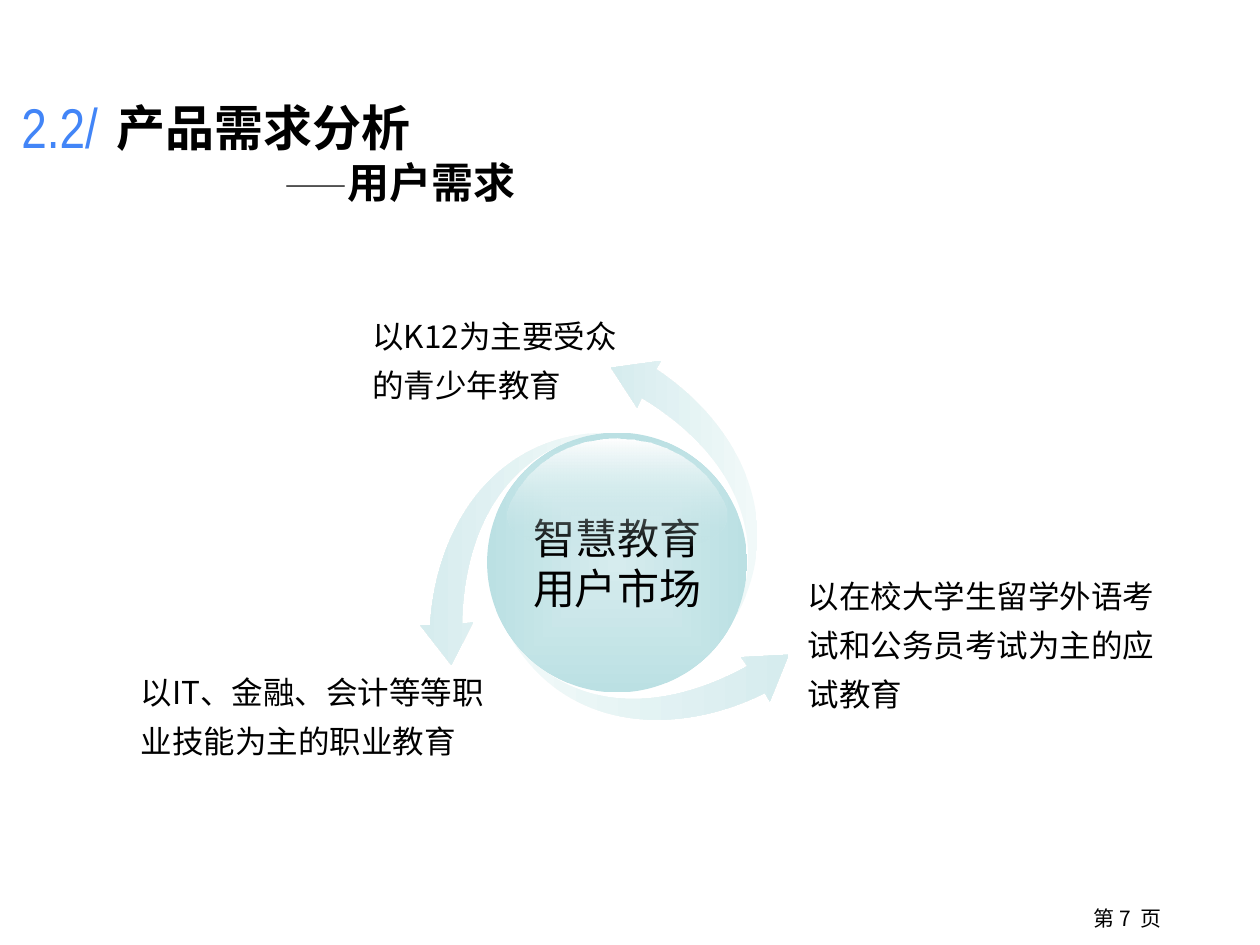
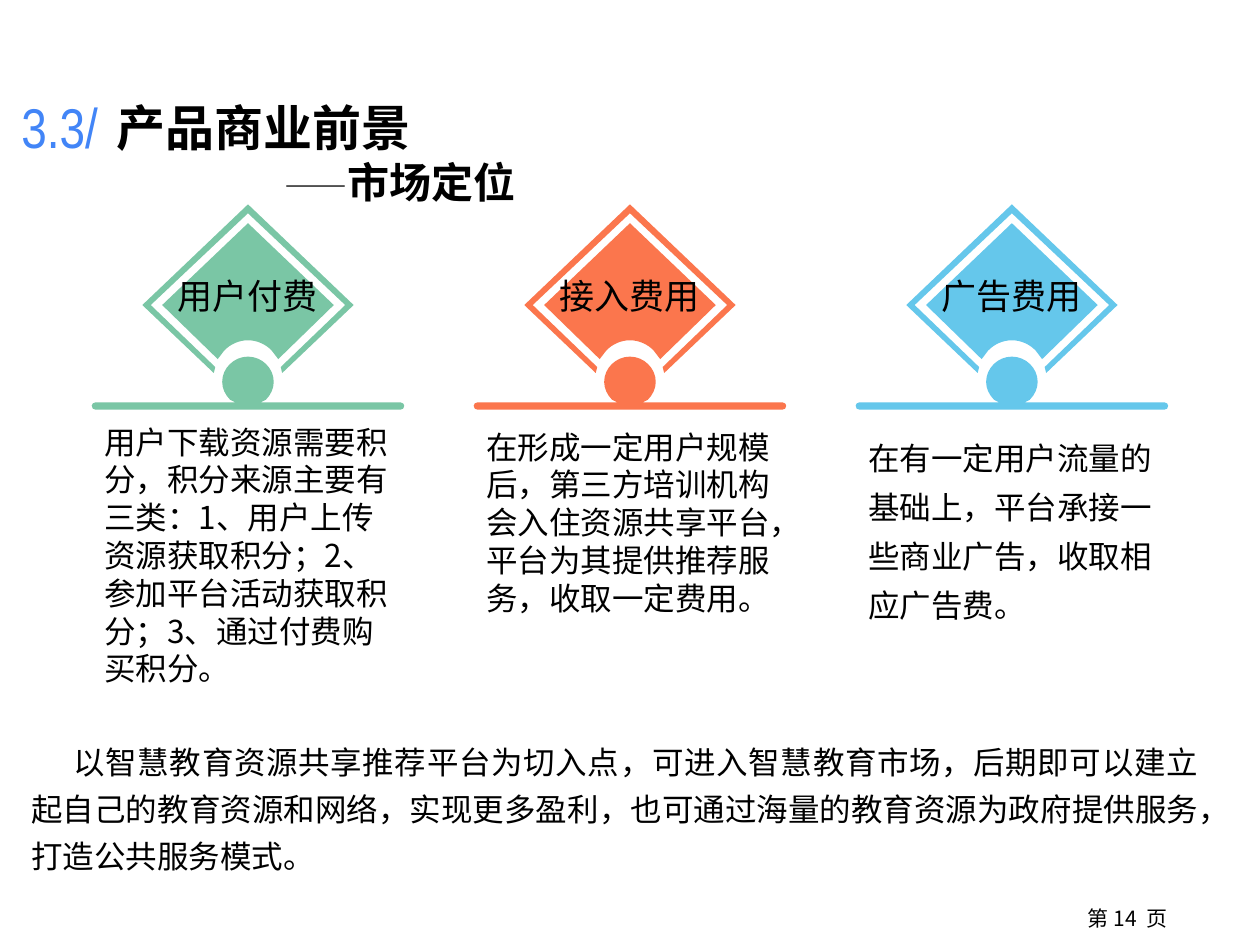
import collections
import dataclasses
import math

import pptx
import pptx.dml.color
import pptx.enum.shapes
import pptx.enum.text
import pptx.oxml
import pptx.oxml.ns
import pptx.util

Cm = pptx.util.Cm
ALIGN = pptx.enum.text.PP_ALIGN
ANCHOR = pptx.enum.text.MSO_ANCHOR
Box = collections.namedtuple("Box", "left top width height")


@dataclasses.dataclass(frozen=True)
class Theme:
    body_font: str = "Noto Sans CJK SC"
    title_font: str = "Times New Roman"
    number_font: str = "Arial Narrow"
    ink: str = "000000"
    accent: str = "4285F7"
    white: str = "FFFFFF"
    mist: str = "F1F9F9"
    pale_teal: str = "D6ECEE"
    teal: str = "BBE0E3"
    green: str = "7AC6A5"
    orange: str = "FB764D"
    blue: str = "65C7EB"
    number: int = 32
    title: int = 28
    subtitle: int = 24
    label: int = 20
    body: int = 18
    footer: int = 12


THEME = Theme()

# Outlines in cm: a pair is a corner, six numbers are a cubic curve.
ARROW = [(-2.12, 1.56), (-0.93, 3.03, 0.87, 3.06, 2.63, 2.09),
         (2.5, 1.91), (3.46, 1.86), (3.08, 2.8), (2.98, 2.63),
         (1.2, 3.52, -0.98, 3.41, -2.12, 1.56)]

# Right halves of symmetric outlines, measured from their vertical axis.
HALF_GLOSS = [(0, -2.49), (0.95, -2.49, 1.75, -2, 2.13, -1.22),
              (2.5, -0.45, 1.3, -0.23, 0.43, -0.23)]
HALF_RING = [(0, 0), (2.13, 2.03), (0.69, 3.4), (0.66, 3.28),
             (1.96, 2.03), (0, 0.18)]
HALF_DIAMOND = [(0, 0.38), (1.73, 2.03), (0.61, 3.12), (0.48, 2.95),
                (0.36, 2.82, 0.18, 2.74, 0, 2.74)]
HALF_STAND = [(0, 3.07), (0.28, 3.07, 0.52, 3.3, 0.52, 3.58),
              (0.52, 3.71, 0.46, 3.84, 0.36, 3.94), (0.26, 3.99),
              (3.07, 3.99), (3.12, 3.99, 3.15, 4.03, 3.15, 4.06),
              (3.15, 4.11, 3.12, 4.14, 3.07, 4.14)]


def pairs(part):
    return list(zip(part[::2], part[1::2]))


def mapped(outline, change):
    """Apply a change of one point to every point of an outline."""
    return [tuple(v for point in pairs(part) for v in change(*point))
            for part in outline]


def mirrored(half):
    """Complete a right half outline with its left half."""
    left = [half[-1][-2:]] if half[-1][-2] else []
    for before, part in reversed(list(zip(half, half[1:]))):
        left.append(part[2:4] + part[:2] + before[-2:] if len(part) == 6
                    else before[-2:])
    return half + mapped(left, lambda x, y: (-x, y))


def rotated(outline, degrees):
    cos, sin = math.cos(math.radians(degrees)), math.sin(math.radians(degrees))
    return mapped(outline, lambda x, y: (x * cos - y * sin, x * sin + y * cos))


def flatten(outline, steps=16):
    """Turn corners and cubic curves into a list of points."""
    points = []
    for part in outline:
        if len(part) == 2:
            points.append(part)
            continue
        knots = [points[-1]] + pairs(part)
        for i in range(1, steps + 1):
            t = i / steps
            weights = [math.comb(3, k) * t ** k * (1 - t) ** (3 - k) for k in range(4)]
            points.append(tuple(sum(w * knot[axis] for w, knot in zip(weights, knots))
                                for axis in (0, 1)))
    return points


def rgb(color):
    return pptx.dml.color.RGBColor.from_string(color)


def add_text(tf, text, size=THEME.body, font=THEME.body_font, color=THEME.ink,
             bold=False, align=ALIGN.LEFT, spacing=None, first_indent=None,
             new_paragraph=True):
    """Add a run, in a new paragraph unless told to continue the last one."""
    p = tf.paragraphs[-1]
    if new_paragraph:
        if p.runs:
            p = tf.add_paragraph()
        p.alignment = align
        if spacing:
            p.line_spacing = spacing
        if first_indent:
            pPr = p._p.get_or_add_pPr()
            pPr.set("marL", "0")
            pPr.set("indent", str(Cm(first_indent)))
    r = p.add_run()
    r.text = text
    r.font.size = pptx.util.Pt(size)
    r.font.name = font
    r.font.bold = bold
    r.font.color.rgb = rgb(color)
    ea = r._r.get_or_add_rPr().makeelement(
        pptx.oxml.ns.qn("a:ea"), {"typeface": THEME.body_font})
    r.font._element.find(pptx.oxml.ns.qn("a:latin")).addnext(ea)
    return p


def set_frame(sp, anchor=ANCHOR.TOP, insets=(0.25, 0.13, 0.25, 0.13)):
    tf = sp.text_frame
    tf.word_wrap = True
    tf.vertical_anchor = anchor
    tf.margin_left, tf.margin_top, tf.margin_right, tf.margin_bottom = map(Cm, insets)
    return tf


def add_frame(slide, box, **frame):
    return set_frame(slide.shapes.add_textbox(*map(Cm, box)), **frame)


def set_plain(sp, color=None):
    sp.shadow.inherit = False
    sp.line.fill.background()
    if color:
        sp.fill.solid()
        sp.fill.fore_color.rgb = rgb(color)


def set_gradient(sp, start, end, angle=None, end_alpha=100):
    """Fill along an angle, or outwards from the middle when there is none."""
    if angle is None:
        course = ('<a:path path="shape"><a:fillToRect l="50000" t="50000" '
                  'r="50000" b="50000"/></a:path>')
    else:
        course = f'<a:lin ang="{angle * 60000}" scaled="0"/>'
    alpha = f'<a:alpha val="{end_alpha * 1000}"/>' if end_alpha < 100 else ""
    fill = pptx.oxml.parse_xml(
        f'<a:gradFill {pptx.oxml.ns.nsdecls("a")} rotWithShape="1"><a:gsLst>'
        f'<a:gs pos="0"><a:srgbClr val="{start}"/></a:gs>'
        f'<a:gs pos="100000"><a:srgbClr val="{end}">{alpha}</a:srgbClr></a:gs>'
        f'</a:gsLst>{course}</a:gradFill>')
    sp.fill.background()
    spPr = sp._element.spPr
    spPr.replace(spPr.find(pptx.oxml.ns.qn("a:noFill")), fill)


def add_outline(slide, x, y, *contours, color=None):
    """Draw closed contours, given in cm from the point x, y."""
    contours = [mapped(c, lambda dx, dy: (Cm(x + dx), Cm(y + dy))) for c in contours]
    builder = None
    for contour in contours:
        start, *points = flatten(contour)
        if builder is None:
            builder = slide.shapes.build_freeform(*start)
        else:
            builder.move_to(*start)
        builder.add_line_segments(points, close=True)
    sp = builder.convert_to_shape()
    set_curves(sp, contours)
    set_plain(sp, color)
    return sp


def set_curves(sp, contours):
    """Put true curves in place of the short lines that gave the shape its size."""
    path = sp._element.spPr.find(".//" + pptx.oxml.ns.qn("a:path"))
    for child in list(path):
        path.remove(child)

    def add_step(tag, part=()):
        step = path.makeelement(pptx.oxml.ns.qn(tag), {})
        for px, py in pairs(part):
            step.append(step.makeelement(pptx.oxml.ns.qn("a:pt"), {
                "x": str(round(px - sp.left)), "y": str(round(py - sp.top))}))
        path.append(step)

    for start, *parts in contours:
        add_step("a:moveTo", start)
        for part in parts:
            add_step("a:lnTo" if len(part) == 2 else "a:cubicBezTo", part)
        add_step("a:close")


def add_slide(prs, page, number):
    slide = prs.slides.add_slide(prs.slide_layouts[6])
    slide.background.fill.solid()
    slide.background.fill.fore_color.rgb = rgb(THEME.white)
    footer = add_frame(slide, Box(21.18, 18.13, 3.1, 0.99))
    add_text(footer, f"第 {page}  页", size=THEME.footer, align=ALIGN.CENTER)
    tf = add_frame(slide, Box(0.3, 1.73, 2.74, 1.63), anchor=ANCHOR.MIDDLE,
                   insets=(0.13,) * 4)
    add_text(tf, number, size=THEME.number, font=THEME.number_font, color=THEME.accent)
    return slide


def add_title(slide, title, subtitle, box=Box(2.1, 1.84, 10.44, 2.49)):
    tf = add_frame(slide, box)
    add_text(tf, title, size=THEME.title, font=THEME.title_font, bold=True)
    p = add_text(tf, "\t", size=THEME.label)
    p._p.get_or_add_pPr().append(pptx.oxml.parse_xml(
        f'<a:tabLst {pptx.oxml.ns.nsdecls("a")}>'
        f'<a:tab pos="{Cm(3.39)}" algn="l"/></a:tabLst>'))
    add_text(tf, "——", new_paragraph=False)
    add_text(tf, subtitle, size=THEME.subtitle, font=THEME.title_font, bold=True,
             new_paragraph=False)


def add_market_wheel(slide, box, core, captions):
    """Centre a globe in the box, with three arrows turning around it."""
    x, y = box.left + box.width / 2, box.top + box.height / 2

    def add_caption(dx, dy, width, caption):
        tf = add_frame(slide, Box(x + dx, y + dy, width, 1.68), anchor=ANCHOR.MIDDLE)
        add_text(tf, caption, spacing=1.3)

    for turn, angle in ((0, 0), (-120, 180), (120, 180)):
        arrow = add_outline(slide, x, y, rotated(ARROW, turn))
        set_gradient(arrow, THEME.mist, THEME.pale_teal, angle)
    add_caption(*captions[0])

    radius = 2.62
    globe = slide.shapes.add_shape(
        pptx.enum.shapes.MSO_SHAPE.OVAL,
        *map(Cm, (x - radius, y - radius, 2 * radius, 2 * radius)))
    set_plain(globe)
    set_gradient(globe, THEME.pale_teal, THEME.teal)
    add_text(set_frame(globe, ANCHOR.MIDDLE, (0,) * 4), core,
             size=THEME.subtitle, align=ALIGN.CENTER)
    for caption in captions[1:]:
        add_caption(*caption)

    gloss = add_outline(slide, x, y, mirrored(HALF_GLOSS))
    set_gradient(gloss, THEME.white, THEME.teal, 90, end_alpha=0)


def add_income_column(slide, box, color, label, text, text_top, spacing):
    axis = box.left + box.width / 2
    diamond = add_outline(slide, axis, box.top, mirrored(HALF_DIAMOND),
                          mirrored(HALF_RING), color=color)
    add_text(set_frame(diamond, ANCHOR.MIDDLE, (0.25, 0.4, 0.25, 0.13)), label,
             size=THEME.label, align=ALIGN.CENTER)
    add_outline(slide, axis, box.top, mirrored(HALF_STAND), color=color)
    tf = add_frame(slide, Box(box.left, box.top + text_top, box.width, 5.94))
    add_text(tf, text, spacing=spacing)


def build_user_needs(prs):
    slide = add_slide(prs, 7, "2.2/")
    add_market_wheel(slide, Box(8.44, 7.34, 8, 8), "智慧教育用户市场", [
        (-5.18, -5.02, 5.77, "以K12为主要受众的青少年教育"),
        (-9.85, 2.15, 7.98, "以IT、金融、会计等等职业技能为主的职业教育"),
        (3.59, 0.7, 7.98, "以在校大学生留学外语考试和公务员考试为主的应试教育"),
    ])
    add_title(slide, "产品需求分析", "用户需求")


def build_market_position(prs):
    slide = add_slide(prs, 14, "3.3/")
    columns = [
        (THEME.green, "用户付费",
         "用户下载资源需要积分，积分来源主要有三类：1、用户上传资源获取积分；"
         "2、参加平台活动获取积分；3、通过付费购买积分。", 4.27, None),
        (THEME.orange, "接入费用",
         "在形成一定用户规模后，第三方培训机构会入住资源共享平台，"
         "平台为其提供推荐服务，收取一定费用。", 4.37, None),
        (THEME.blue, "广告费用",
         "在有一定用户流量的基础上，平台承接一些商业广告，收取相应广告费。", 4.37, 1.3),
    ]
    for i, column in enumerate(columns):
        add_income_column(slide, Box(1.85 + 7.7 * i, 4.12, 6.3, 10.3), *column)
    summary = add_frame(slide, Box(0.38, 14.65, 24.04, 3.15))
    add_text(summary,
             "以智慧教育资源共享推荐平台为切入点，可进入智慧教育市场，后期即可以建立"
             "起自己的教育资源和网络，实现更多盈利，也可通过海量的教育资源为政府提供服务，"
             "打造公共服务模式。",
             align=ALIGN.JUSTIFY, spacing=1.25, first_indent=0.85)
    add_title(slide, "产品商业前景", "市场定位")


def main():
    prs = pptx.Presentation()
    prs.slide_width, prs.slide_height = Cm(25.4), Cm(19.05)
    build_user_needs(prs)
    build_market_position(prs)
    prs.save("out.pptx")


if __name__ == "__main__":
    main()
